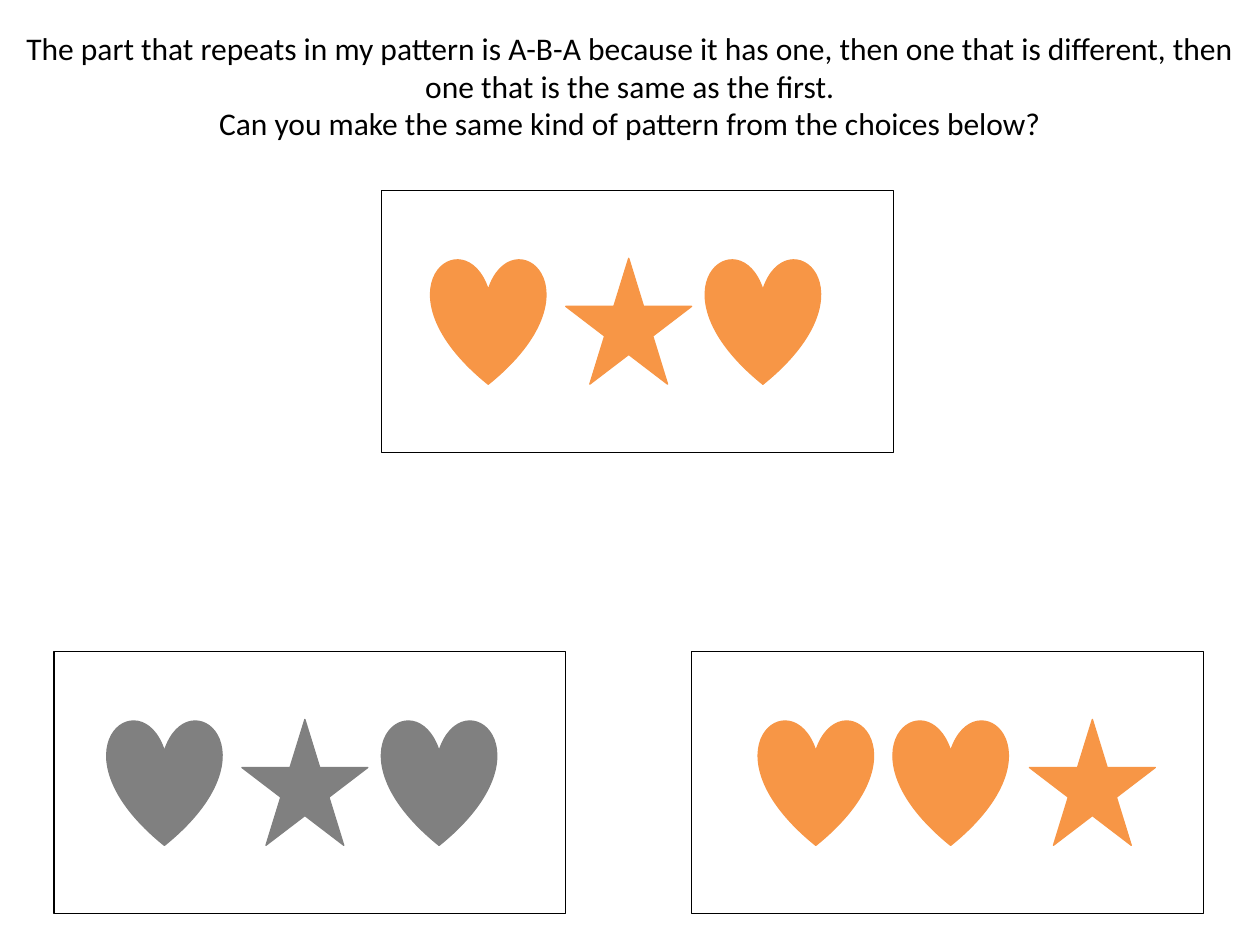
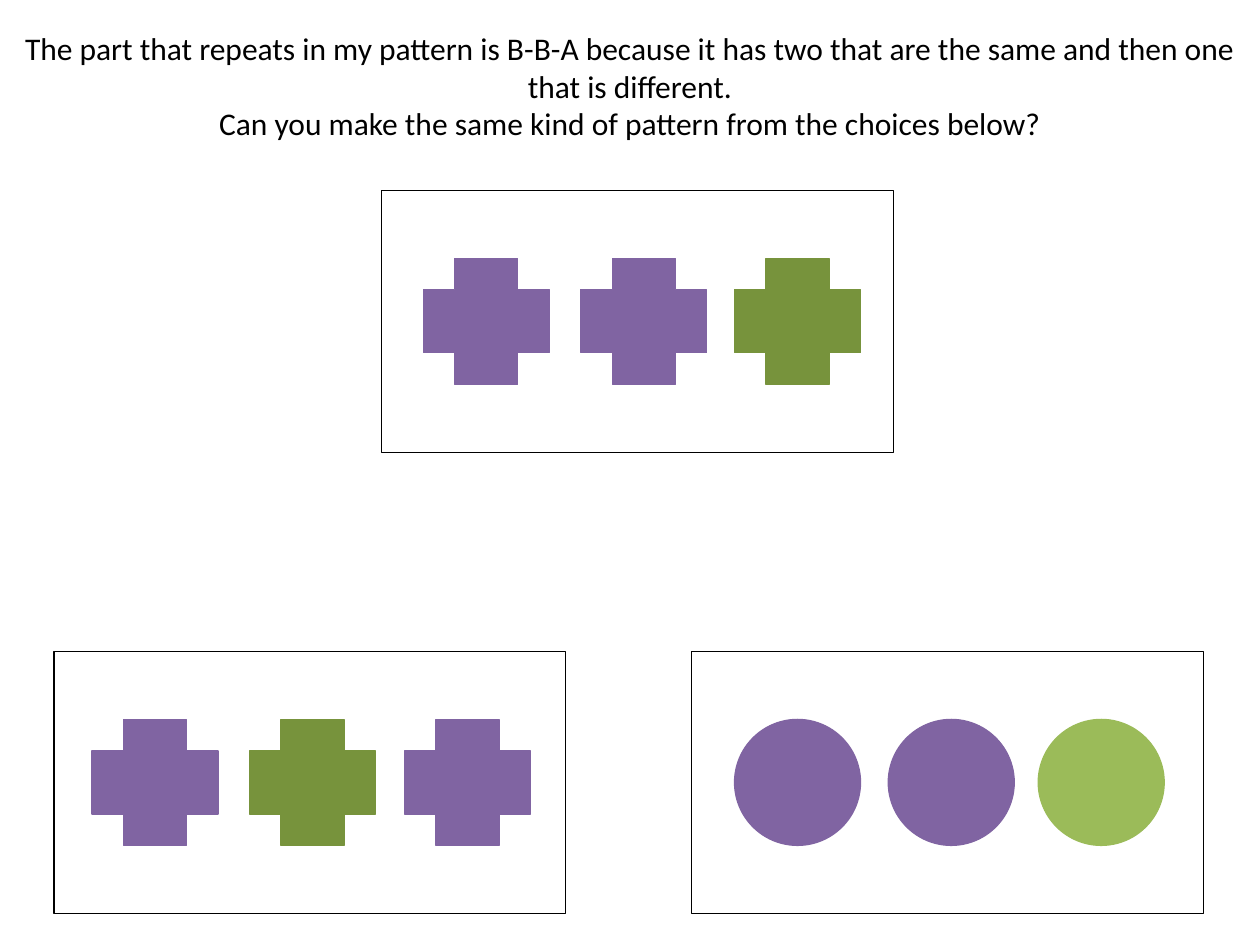
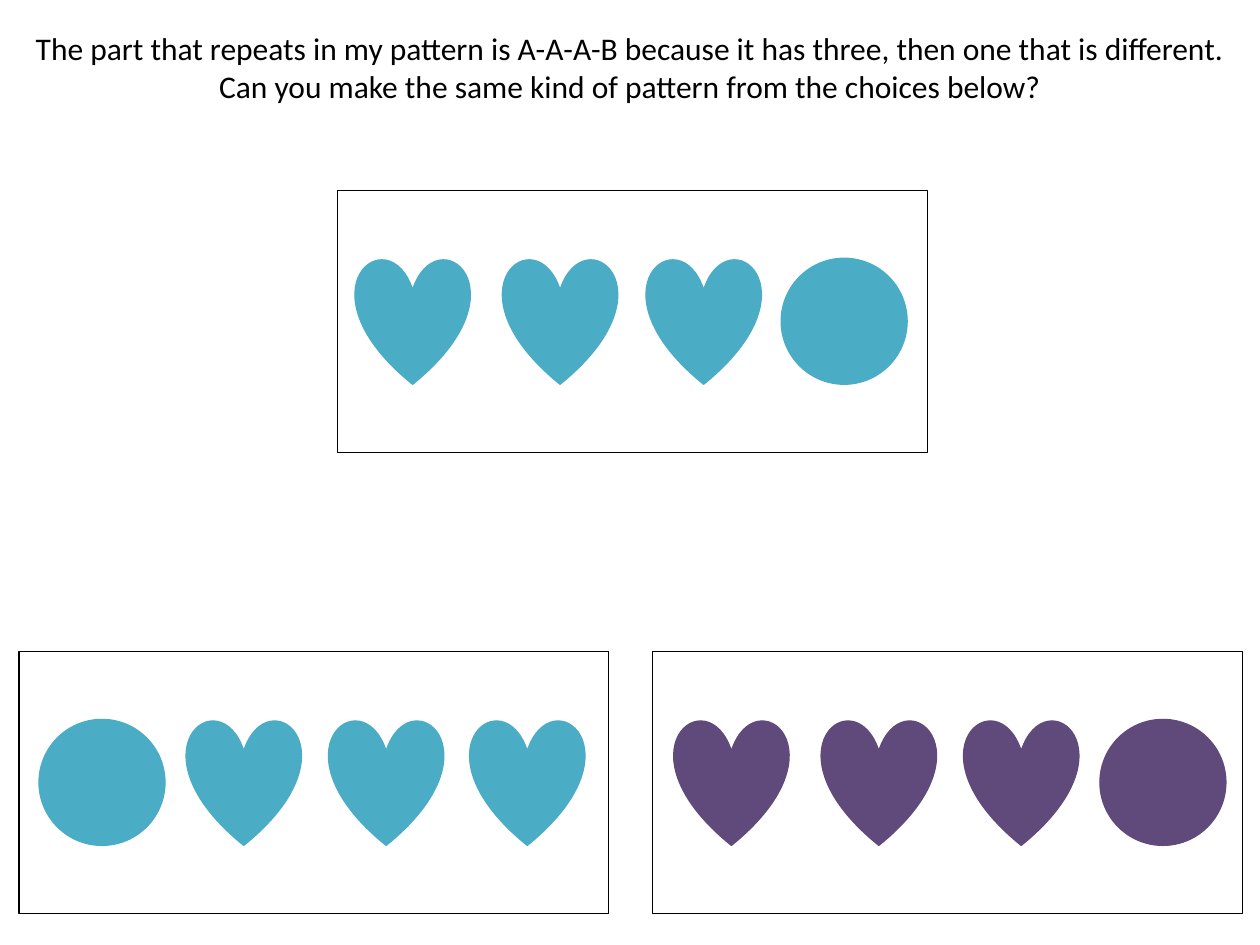
import pptx
import pptx.util
import pptx.dml.color
import pptx.enum.shapes
import pptx.enum.text

Inches = pptx.util.Inches
KIND = pptx.enum.shapes.MSO_SHAPE

COLORS = {
    "black": "000000", "orange": "F79646", "gray": "808080",
    "purple": "8064A2", "olive": "77933C", "lime": "9BBB59",
    "teal": "4BACC6", "plum": "604A7B",
}
# Preset shape and width of each pattern piece
PIECES = {
    "heart": (KIND.HEART, 0.91),
    "star": (KIND.STAR_5_POINT, 1),
    "plus": (KIND.CROSS, 1),
    "circle": (KIND.OVAL, 1),
}
FONT = {"name": "Calibri", "size": pptx.util.Pt(18)}
FRAME = {"auto_size": pptx.enum.text.MSO_AUTO_SIZE.SHAPE_TO_FIT_TEXT,
         "word_wrap": True}
ASK = "Can you make the same kind of pattern from the choices below?"
MODEL_TOP, CHOICE_TOP = 1.51, 5.17
CARD_HIGH, PIECE_HIGH = 2.08, 1
INSET = (CARD_HIGH - PIECE_HIGH) / 2

# Each card: left, top, then its pieces as (kind, color, left)
SLIDES = [
    {
        "rule": "The part that repeats in my pattern is A-B-A because it has one, "
                "then one that is different, then one that is the same as the first.",
        "text_high": 1.01,
        "card_wide": 4.06,
        "cards": [
            (3.03, MODEL_TOP, [("heart", "orange", 3.42), ("star", "orange", 4.49),
                               ("heart", "orange", 5.6)]),
            (0.43, CHOICE_TOP, [("heart", "gray", 0.85), ("star", "gray", 1.92),
                                ("heart", "gray", 3.03)]),
            (5.49, CHOICE_TOP, [("heart", "orange", 6.02), ("heart", "orange", 7.09),
                                ("star", "orange", 8.17)]),
        ],
    },
    {
        "rule": "The part that repeats in my pattern is B-B-A because it has two "
                "that are the same and then one that is different.",
        "text_high": 1.01,
        "card_wide": 4.06,
        "cards": [
            (3.03, MODEL_TOP, [("plus", "purple", 3.36), ("plus", "purple", 4.61),
                               ("plus", "olive", 5.83)]),
            (0.43, CHOICE_TOP, [("plus", "purple", 0.73), ("plus", "olive", 1.98),
                                ("plus", "purple", 3.21)]),
            (5.49, CHOICE_TOP, [("circle", "purple", 5.83), ("circle", "purple", 7.05),
                                ("circle", "lime", 8.24)]),
        ],
    },
    {
        "rule": "The part that repeats in my pattern is A-A-A-B because it has "
                "three, then one that is different.",
        "text_high": 0.71,
        "card_wide": 4.68,
        "cards": [
            (2.68, MODEL_TOP, [("heart", "teal", 2.82), ("heart", "teal", 3.99),
                               ("heart", "teal", 5.13), ("circle", "teal", 6.2)]),
            (0.15, CHOICE_TOP, [("circle", "teal", 0.31), ("heart", "teal", 1.48),
                                ("heart", "teal", 2.61), ("heart", "teal", 3.73)]),
            (5.18, CHOICE_TOP, [("heart", "plum", 5.35), ("heart", "plum", 6.52),
                                ("heart", "plum", 7.65), ("circle", "plum", 8.73)]),
        ],
    },
]


def rgb(name):
    return pptx.dml.color.RGBColor.from_string(COLORS[name])


def apply(target, values):
    for key, value in values.items():
        setattr(target, key, value)


def add_shape(slide, kind, box, line, fill=None):
    shape = slide.shapes.add_shape(kind, *map(Inches, box))
    shape.shadow.inherit = False
    shape.line.color.rgb = rgb(line)
    shape.line.width = pptx.util.Pt(0.75)
    if fill:
        shape.fill.solid()
        shape.fill.fore_color.rgb = rgb(fill)
    else:
        shape.fill.background()


def add_text(slide, lines, high):
    box = slide.shapes.add_textbox(0, Inches(0.18), Inches(10), Inches(high))
    frame = box.text_frame
    apply(frame, FRAME)
    frame.text = "\n".join(lines)
    for para in frame.paragraphs:
        para.alignment = pptx.enum.text.PP_ALIGN.CENTER
        apply(para.font, FONT)
        para.font.color.rgb = rgb("black")


def add_card(slide, left, top, wide, pieces):
    add_shape(slide, KIND.RECTANGLE, (left, top, wide, CARD_HIGH), "black")
    for name, color, x in pieces:
        kind, width = PIECES[name]
        add_shape(slide, kind, (x, top + INSET, width, PIECE_HIGH), color, color)


def main():
    deck = pptx.Presentation()
    deck.slide_width, deck.slide_height = Inches(10), Inches(7.5)
    for page in SLIDES:
        slide = deck.slides.add_slide(deck.slide_layouts[6])
        add_text(slide, [page["rule"], ASK], page["text_high"])
        for left, top, pieces in page["cards"]:
            add_card(slide, left, top, page["card_wide"], pieces)
    deck.save("out.pptx")


if __name__ == "__main__":
    main()
